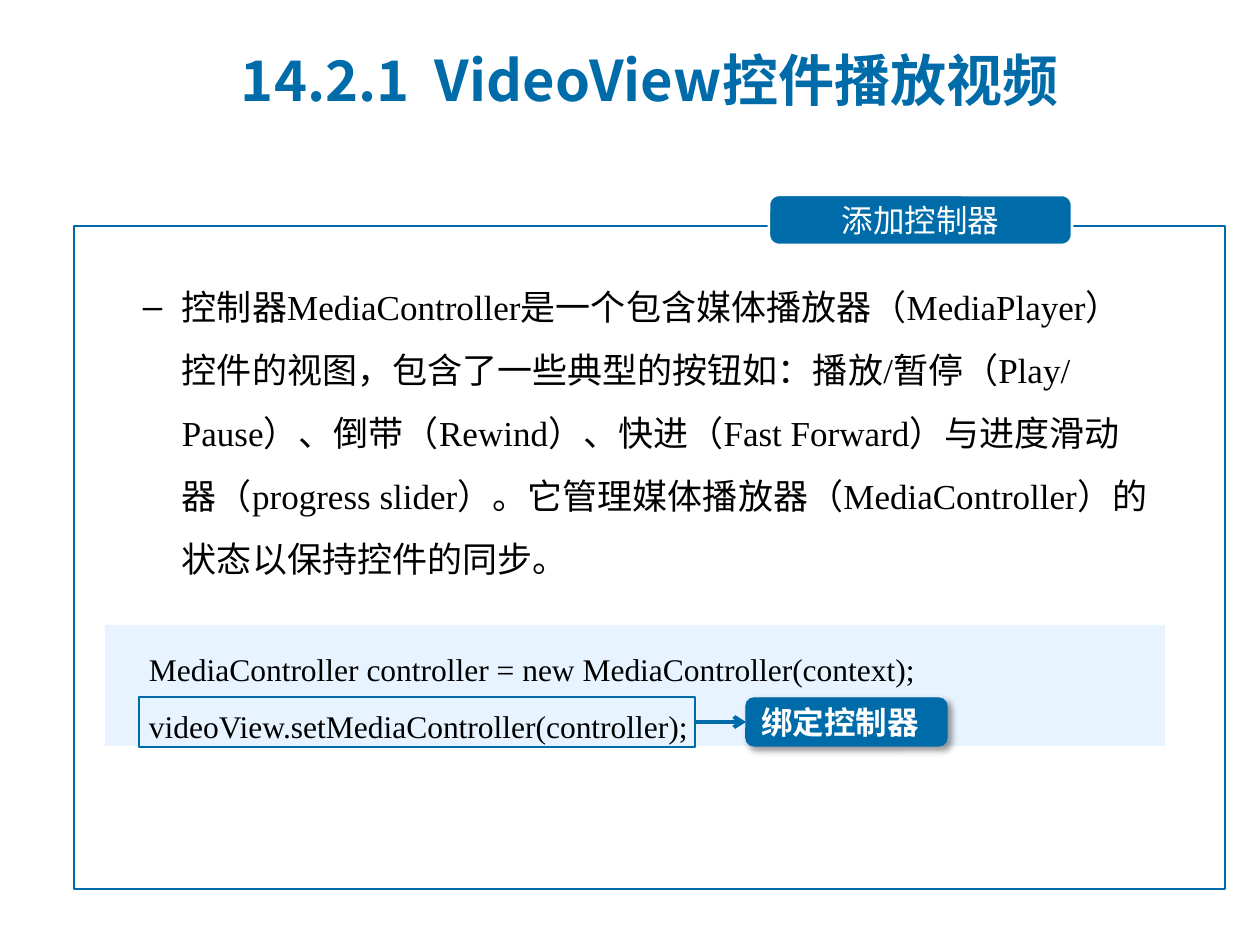
from dataclasses import dataclass

from lxml import etree
from pptx import Presentation
from pptx import util as u
from pptx.dml.color import RGBColor
from pptx.enum import shapes, text
from pptx.oxml import ns

PX = 914400 / 126


@dataclass(frozen=True)
class Theme:
    blue: str = "006BA9"
    pale: str = "E7F4FF"
    white: str = "FFFFFF"
    black: str = "000000"
    cjk: str = "Noto Sans CJK SC"
    serif: str = "Times New Roman"
    sans: str = "Calibri"
    title_size: int = 32
    body_size: int = 20
    label_size: int = 18


def px(value):
    return u.Emu(round(value * PX))


def add_node(parent, tag, **attributes):
    node = etree.SubElement(parent, ns.qn(tag))
    for key, value in attributes.items():
        node.set(key, str(value))
    return node


def write_text(shape, content, *, font, size, color, bold=False, align="LEFT",
               anchor="TOP", spacing=None, insets=(13, 6, 13, 6), east="Noto Sans CJK SC"):
    frame = shape.text_frame
    frame.word_wrap = True
    frame.auto_size = text.MSO_AUTO_SIZE.NONE
    frame.vertical_anchor = text.MSO_ANCHOR[anchor]
    frame.margin_left, frame.margin_top, frame.margin_right, frame.margin_bottom = map(px, insets)
    frame.text = content
    for paragraph in frame.paragraphs:
        paragraph.alignment = text.PP_ALIGN[align]
        if spacing:
            paragraph.line_spacing = spacing
        for run in paragraph.runs:
            run.font.name = font
            run.font.size = u.Pt(size)
            run.font.bold = bold
            run.font.color.rgb = RGBColor.from_string(color)
            add_node(run.font._element, "a:ea", typeface=east)
    return frame


class SlideBuilder:
    def __init__(self, slide, theme):
        self.slide = slide
        self.theme = theme

    def title(self, box, content):
        title = self.slide.shapes.title
        title.left, title.top, title.width, title.height = map(px, box)
        write_text(title, content, font=self.theme.cjk, size=self.theme.title_size,
                   color=self.theme.blue, bold=True, anchor="MIDDLE")

    def box(self, box, fill=None, line=None, weight=1.5, corner=None):
        kind = shapes.MSO_SHAPE.RECTANGLE if corner is None else shapes.MSO_SHAPE.ROUNDED_RECTANGLE
        shape = self.slide.shapes.add_shape(kind, *map(px, box))
        shape.shadow.inherit = False
        if corner is not None:
            shape.adjustments[0] = corner
        if fill:
            shape.fill.solid()
            shape.fill.fore_color.rgb = RGBColor.from_string(fill)
        else:
            shape.fill.background()
        if line:
            shape.line.color.rgb = RGBColor.from_string(line)
            shape.line.width = u.Pt(weight)
        else:
            shape.line.fill.background()
        return shape

    def drop_shadow(self, shape):
        effects = shape._element.spPr.find(ns.qn("a:effectLst"))
        shadow = add_node(effects, "a:outerShdw", blurRad=u.Pt(4), dist=u.Pt(3),
                          dir=45 * 60000, algn="tl", rotWithShape=0)
        color = add_node(shadow, "a:srgbClr", val=self.theme.black)
        add_node(color, "a:alpha", val=40000)

    def bullet(self, box, content):
        textbox = self.slide.shapes.add_textbox(*map(px, box))
        frame = write_text(textbox, content, font=self.theme.serif, size=self.theme.body_size,
                           color=self.theme.black, spacing=1.5)
        paragraph = frame.paragraphs[0]
        paragraph.space_before = u.Pt(4)
        properties = paragraph._p.get_or_add_pPr()
        properties.set("marL", str(px(102)))
        properties.set("indent", str(px(-39)))
        add_node(properties, "a:buFont", typeface="Arial")
        add_node(properties, "a:buChar", char="–")

    def arrow(self, source, target):
        arrow = self.slide.shapes.add_connector(shapes.MSO_CONNECTOR.STRAIGHT, 0, 0, 0, 0)
        arrow.begin_connect(source, 3)
        arrow.end_connect(target, 1)
        arrow.line.color.rgb = RGBColor.from_string(self.theme.blue)
        arrow.line.width = u.Pt(2.25)
        add_node(arrow.line._get_or_add_ln(), "a:tailEnd", type="arrow")
        add_node(arrow._element.spPr, "a:effectLst")


def main():
    theme = Theme()
    deck = Presentation()
    deck.slide_width, deck.slide_height = px(1260), px(945)
    page = SlideBuilder(deck.slides.add_slide(deck.slide_layouts[5]), theme)

    page.title((228, 26, 937, 106), "14.2.1  VideoView控件播放视频")
    page.box((74, 226, 1151, 663), line=theme.blue)

    section = page.box((769, 195, 303, 50), fill=theme.blue, line=theme.white, corner=0.2)
    write_text(section, "添加控制器", font=theme.cjk, size=theme.label_size,
               color=theme.white, align="CENTER", anchor="MIDDLE")

    page.bullet((67, 258, 1099, 147),
                "控制器MediaController是一个包含媒体播放器（MediaPlayer）控件的视图，"
                "包含了一些典型的按钮如：播放/暂停（Play/ Pause）、倒带（Rewind）、"
                "快进（Fast Forward）与进度滑动器（progress slider）。"
                "它管理媒体播放器（MediaController）的状态以保持控件的同步。")

    code = page.box((105, 625, 1060, 121), fill=theme.pale)
    write_text(code, "MediaController controller = new MediaController(context);\n"
               "videoView.setMediaController(controller);",
               font=theme.serif, size=theme.label_size, color=theme.black,
               spacing=1.5, insets=(44, 6, 13, 6))

    binding_call = page.box((139, 697, 556, 50), line=theme.blue)
    binding_label = page.box((746, 698, 201, 48), fill=theme.blue, line=theme.blue,
                             weight=0.75, corner=0.17)
    page.drop_shadow(binding_label)
    write_text(binding_label, "绑定控制器", font=theme.sans, size=theme.label_size,
               color=theme.white, bold=True, anchor="MIDDLE")
    page.arrow(binding_call, binding_label)

    deck.save("out.pptx")


if __name__ == "__main__":
    main()
